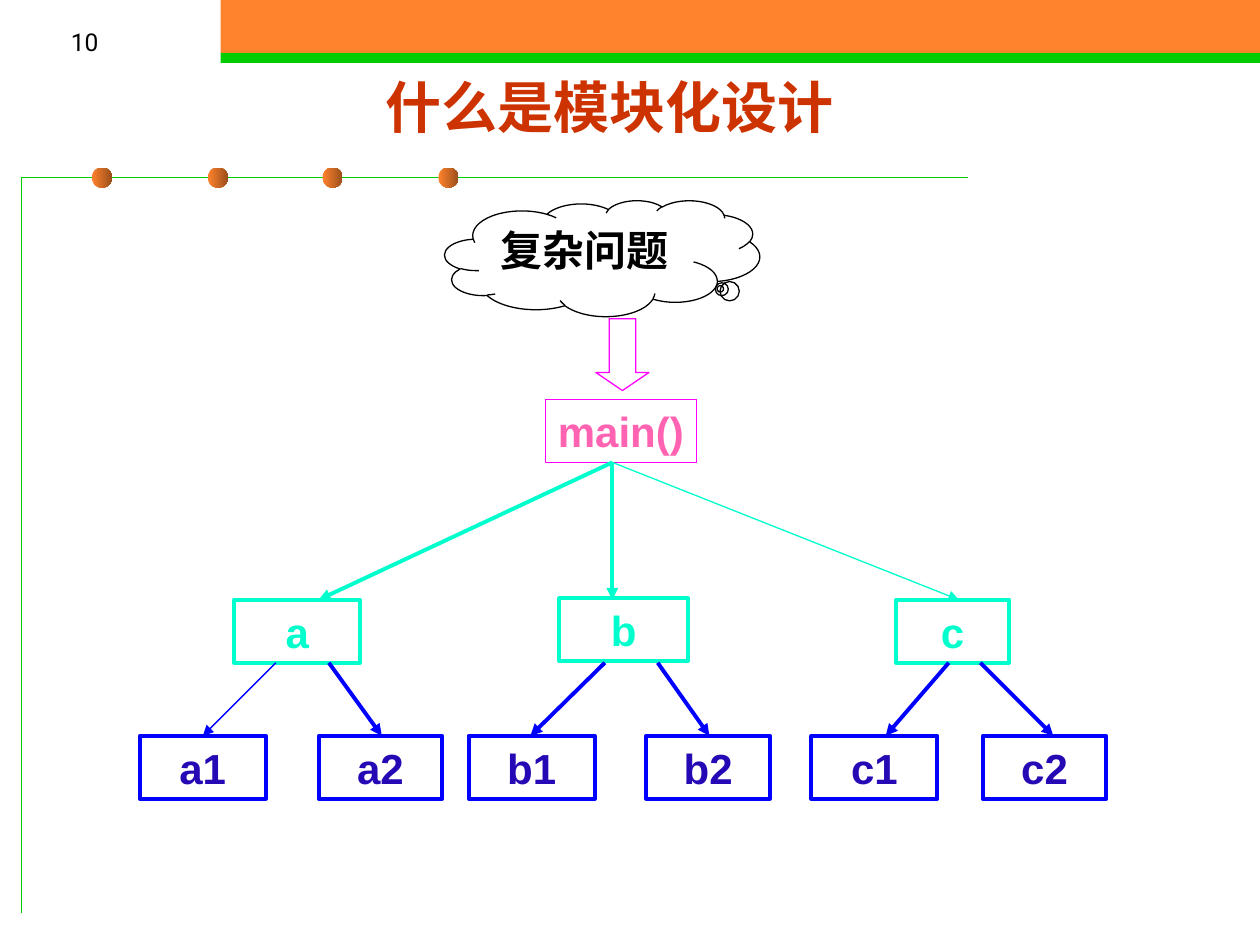
import pptx
import pptx.util
import pptx.dml.color
import pptx.enum.shapes
import pptx.enum.text
import pptx.oxml
import pptx.oxml.ns
from dataclasses import dataclass

Inches = pptx.util.Inches
Pt = pptx.util.Pt
Shape = pptx.enum.shapes.MSO_SHAPE
Align = pptx.enum.text.PP_ALIGN
Anchor = pptx.enum.text.MSO_ANCHOR


@dataclass(frozen=True)
class Theme:
    orange: str = "FF822D"
    brown: str = "9B4F1B"
    green: str = "00CC00"
    title: str = "CC3300"
    ink: str = "000000"
    magenta: str = "FF00FF"
    pink: str = "FF63B1"
    aqua: str = "00FFCC"
    blue: str = "0000FF"
    indigo: str = "2609B5"
    heading_font: str = "Roboto"
    cloud_font: str = "Times New Roman"
    node_font: str = "Arial"
    number_size: int = 14
    title_size: int = 32
    node_size: int = 24
    thin: float = 0.75
    thick: float = 2.25


THEME = Theme()


def rgb(value):
    return pptx.dml.color.RGBColor.from_string(value)


def set_line(item, color, width):
    item.line.color.rgb = rgb(color)
    item.line.width = Pt(width)


def add_shape(page, kind, bounds, fill=None, line=None, width=THEME.thin):
    shape = page.shapes.add_shape(kind, *map(Inches, bounds))
    shape.shadow.inherit = False
    if fill:
        shape.fill.solid()
        shape.fill.fore_color.rgb = rgb(fill)
    else:
        shape.fill.background()
    if line:
        set_line(shape, line, width)
    else:
        shape.line.fill.background()
    return shape


def write(box, text, font, size, color, bold=True, align=Align.CENTER,
          anchor=Anchor.MIDDLE, wrap=True):
    frame = box.text_frame
    frame.text = text
    frame.word_wrap = wrap
    frame.vertical_anchor = anchor
    paragraph = frame.paragraphs[0]
    paragraph.alignment = align
    span = paragraph.runs[0]
    span.font.name = font
    span.font.size = Pt(size)
    span.font.bold = bold
    span.font.color.rgb = rgb(color)


def add_node(page, text, bounds, line, color, width=THEME.thick, **layout):
    node = add_shape(page, Shape.RECTANGLE, bounds, line=line, width=width)
    write(node, text, THEME.node_font, THEME.node_size, color, **layout)


def add_arrow(page, start, end, color, width=THEME.thick):
    arrow = page.shapes.add_connector(
        pptx.enum.shapes.MSO_CONNECTOR.STRAIGHT, *map(Inches, (*start, *end)))
    set_line(arrow, color, width)
    head = pptx.oxml.parse_xml(
        f'<a:tailEnd {pptx.oxml.ns.nsdecls("a")} type="triangle"/>')
    arrow.line._get_or_add_ln().append(head)
    arrow._element.spPr.append(pptx.oxml.parse_xml(
        f'<a:effectLst {pptx.oxml.ns.nsdecls("a")}/>'))


def add_bead(page, left):
    bead = add_shape(page, Shape.OVAL, (left, 1.33, 0.16, 0.16))
    bead.fill.gradient()
    bead.fill.gradient_angle = 0
    for stop, color in zip(bead.fill.gradient_stops, (THEME.orange, THEME.brown)):
        stop.color.rgb = rgb(color)


def add_decoration(page):
    add_shape(page, Shape.RECTANGLE, (1.75, 0, 8.25, 0.42), fill=THEME.orange)
    add_shape(page, Shape.RECTANGLE, (1.75, 0.42, 8.25, 0.08), fill=THEME.green)
    builder = page.shapes.build_freeform(Inches(0.17), Inches(7.25), scale=1.0)
    builder.add_line_segments(
        [(Inches(0.17), Inches(1.41)), (Inches(7.68), Inches(1.41))], close=False)
    corner = builder.convert_to_shape()
    corner.shadow.inherit = False
    corner.fill.background()
    set_line(corner, THEME.green, THEME.thin)
    for index in range(4):
        add_bead(page, round(0.73 + index * 0.917, 2))


def add_headings(page):
    number = page.shapes.add_textbox(*map(Inches, (0, 0, 0.88, 0.5)))
    write(number, "10", THEME.heading_font, THEME.number_size, THEME.ink,
          bold=False, align=Align.RIGHT, anchor=Anchor.BOTTOM)
    title = page.shapes.add_textbox(*map(Inches, (0.51, 0.52, 8.66, 0.65)))
    write(title, "什么是模块化设计", THEME.heading_font, THEME.title_size, THEME.title)


def add_problem(page):
    cloud = add_shape(page, Shape.CLOUD_CALLOUT, (3.53, 1.59, 2.5, 0.92), line=THEME.ink)
    cloud.adjustments[0], cloud.adjustments[1] = 0.375, 0.263
    write(cloud, "复杂问题", THEME.cloud_font, THEME.node_size, THEME.ink,
          align=Align.LEFT, anchor=Anchor.TOP)
    arrow = add_shape(page, Shape.DOWN_ARROW, (4.73, 2.53, 0.42, 0.57), line=THEME.magenta)
    arrow.adjustments[0], arrow.adjustments[1] = 0.5, 0.34


def add_module_tree(page):
    root = (4.86, 3.67)
    add_node(page, "main()", (4.33, 3.17, 1.2, 0.5), THEME.magenta, THEME.pink,
             width=THEME.thin, align=Align.LEFT, wrap=False)

    # name, left, top, width, arrow tip, arrow weight
    modules = [("a", 1.86, 4.76, 1, 2.53, THEME.thick),
               ("b", 4.44, 4.75, 1.02, 4.86, THEME.thick),
               ("c", 7.11, 4.76, 0.9, 7.61, THEME.thin)]
    for name, left, top, width, tip, weight in modules:
        add_arrow(page, root, (tip, 4.76), THEME.aqua, weight)
        add_node(page, name, (left, top, width, 0.5), THEME.aqua, THEME.aqua)

    # name, left, width, arrow start, arrow tip, arrow weight
    parts = [("a1", 1.11, 1, 2.19, 1.61, THEME.thin),
             ("a2", 2.53, 0.98, 2.61, 3.03, THEME.thick),
             ("b1", 3.72, 1, 4.8, 4.21, THEME.thick),
             ("b2", 5.13, 0.98, 5.22, 5.63, THEME.thick),
             ("c1", 6.44, 1, 7.53, 7.03, THEME.thick),
             ("c2", 7.8, 0.98, 7.78, 8.36, THEME.thick)]
    for name, left, width, start, tip, weight in parts:
        add_arrow(page, (start, 5.26), (tip, 5.84), THEME.blue, weight)
        add_node(page, name, (left, 5.84, width, 0.5), THEME.blue, THEME.indigo)


def main():
    deck = pptx.Presentation()
    deck.slide_width, deck.slide_height = Inches(10), Inches(7.5)
    page = deck.slides.add_slide(deck.slide_layouts[6])
    add_decoration(page)
    add_headings(page)
    add_problem(page)
    add_module_tree(page)
    deck.save("out.pptx")


if __name__ == "__main__":
    main()
